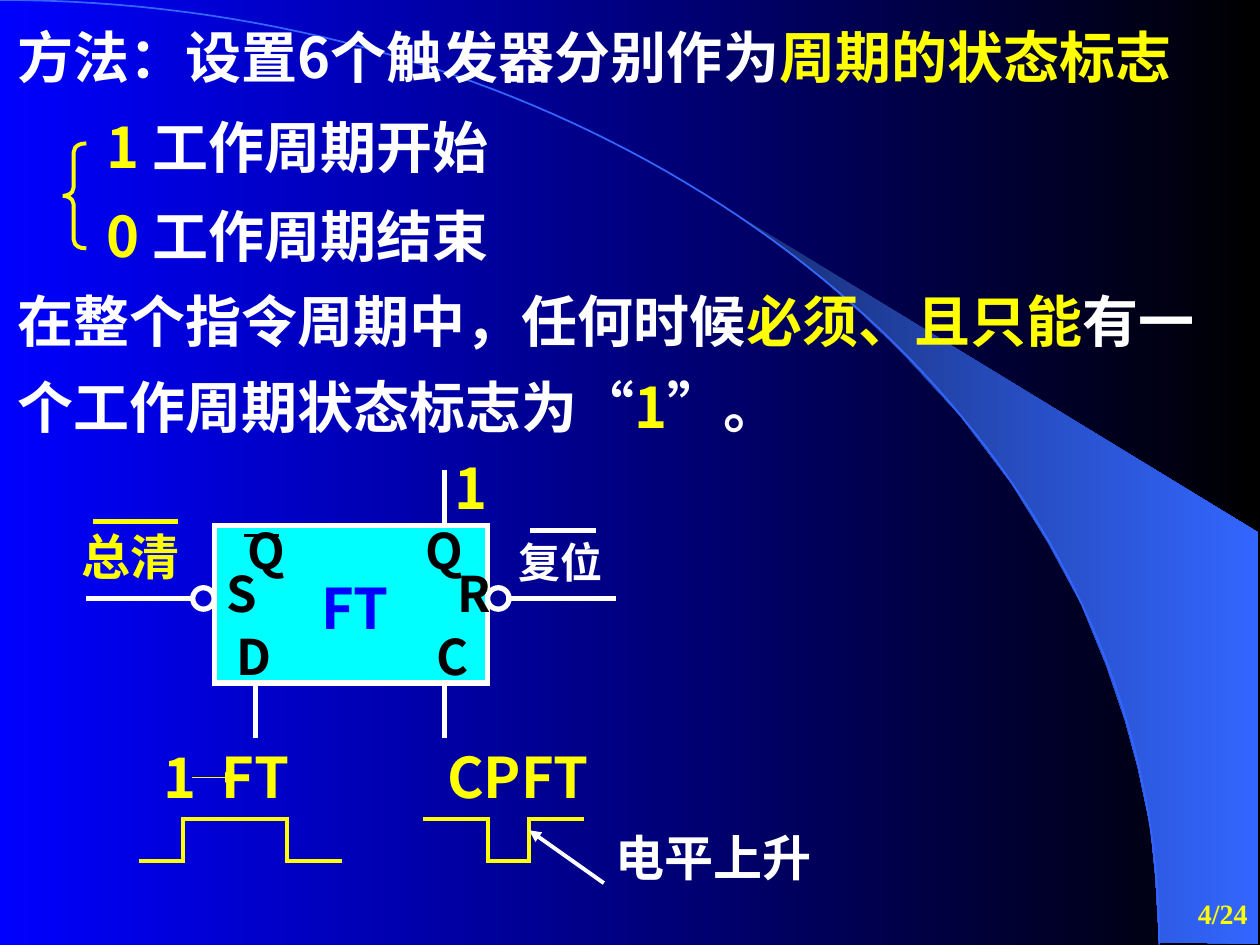
import itertools
from dataclasses import dataclass

import pptx
import pptx.dml.color
import pptx.enum.dml
import pptx.enum.shapes
import pptx.enum.text
import pptx.oxml
import pptx.oxml.ns
import pptx.util
from pptx.util import Inches

ALIGN = pptx.enum.text.PP_ALIGN
ANCHOR = pptx.enum.text.MSO_ANCHOR
SHAPE = pptx.enum.shapes.MSO_SHAPE


@dataclass(frozen=True)
class Theme:
    white: str = "FFFFFF"
    black: str = "000000"
    blue: str = "0000FF"
    yellow: str = "FFFF00"
    cyan: str = "00FFFF"
    navy: str = "182F76"
    sky: str = "3366FF"
    sans: str = "Noto Sans CJK SC"
    serif: str = "Times New Roman"
    large: int = 32
    medium: int = 28
    small: int = 24
    page: int = 16
    thick: float = 3
    normal: float = 2.25


THEME = Theme()


def rgb(value):
    return pptx.dml.color.RGBColor.from_string(value)


def add_xml(parent, tag, **attributes):
    element = pptx.oxml.parse_xml(f"<{tag} {pptx.oxml.ns.nsdecls('a')}/>")
    for name, value in attributes.items():
        element.set(name, str(value))
    parent.append(element)
    return element


def set_gradient(fill, start, end):
    fill.gradient()
    fill.gradient_angle = 0
    for stop, color, position in zip(fill.gradient_stops, (start, end), (0, 1)):
        stop.color.rgb = rgb(color)
        stop.position = position


def set_line(line, color, weight):
    line.color.rgb = rgb(color)
    line.width = pptx.util.Pt(weight)
    outline = line._get_or_add_ln()
    outline.set("cap", "sq")
    add_xml(outline, "a:miter", lim=800000)
    return outline


@dataclass
class Region:
    slide: object
    left: float
    top: float
    width: float
    height: float

    def place(self, x, y):
        return Inches(self.left + x), Inches(self.top + y)

    def style(self, shape, fill=None, color=None, weight=THEME.thick):
        shape.shadow.inherit = False
        if fill:
            shape.fill.solid()
            shape.fill.fore_color.rgb = rgb(fill)
        else:
            shape.fill.background()
        if color:
            set_line(shape.line, color, weight)
        else:
            shape.line.fill.background()

    def shape(self, kind, x, y, width, height, **style):
        shape = self.slide.shapes.add_shape(
            kind, *self.place(x, y), Inches(width), Inches(height))
        self.style(shape, **style)
        return shape

    def outline(self, points, close, **style):
        start, *rest = [self.place(x, y) for x, y in points]
        builder = self.slide.shapes.build_freeform(*start, scale=1.0)
        builder.add_line_segments(rest, close=close)
        shape = builder.convert_to_shape()
        self.style(shape, **style)
        return shape

    def line(self, start, end, color=THEME.white, weight=THEME.thick, arrow=False):
        connector = self.slide.shapes.add_connector(
            pptx.enum.shapes.MSO_CONNECTOR.STRAIGHT,
            *self.place(*start), *self.place(*end))
        outline = set_line(connector.line, color, weight)
        if arrow:
            add_xml(outline, "a:tailEnd", type="triangle")
        add_xml(connector._element.spPr, "a:effectLst")

    def polyline(self, points):
        for start, end in itertools.pairwise(points):
            self.line(start, end, THEME.yellow, THEME.normal)

    def text(self, x, y, width, height, paragraphs, size=THEME.large,
             font=THEME.sans, align=None, anchor=ANCHOR.TOP):
        box = self.slide.shapes.add_textbox(
            *self.place(x, y), Inches(width), Inches(height))
        frame = box.text_frame
        frame.word_wrap = True
        frame.vertical_anchor = anchor
        frame.text = "\n".join("" for _ in paragraphs)
        for paragraph, runs in zip(frame.paragraphs, paragraphs):
            paragraph.alignment = align
            for words, color, *face in runs:
                run = paragraph.add_run()
                run.text = words
                run.font.size = pptx.util.Pt(size)
                run.font.bold = True
                run.font.color.rgb = rgb(color)
                run.font.name = face[0] if face else font
                add_xml(run.font._element, "a:ea", typeface=THEME.sans)
        return frame


def draw_background(region):
    set_gradient(region.slide.background.fill, THEME.blue, THEME.black)
    beam = region.outline(
        [(9.2, 7.48), (9.99, 7.49), (9.99, 4.23), (5.89, 1.73), (6.24, 1.99),
         (6.53, 2.22), (6.85, 2.5), (7.16, 2.8), (7.62, 3.3), (8.03, 3.84),
         (8.32, 4.31), (8.58, 4.79), (8.78, 5.28), (8.93, 5.72), (9.03, 6.09),
         (9.13, 6.56), (9.17, 6.96)], close=True)
    set_gradient(beam.fill, THEME.navy, THEME.sky)
    steps = 80
    arc = []
    for step in range(steps + 1):
        t = step / steps
        s = 1 - t
        arc.append((3 * s * s * t * 5.08 + (3 * s * t * t + t ** 3) * 9.2,
                    3 * s * t * t * 3.35 + t ** 3 * 7.49))
    region.outline(arc, close=False, color=THEME.sky, weight=1)


def draw_page_number(region):
    region.text(0, 0, region.width, region.height, [[("4/24", THEME.yellow)]],
                THEME.page, THEME.serif, ALIGN.RIGHT, ANCHOR.MIDDLE)


def draw_method(region):
    white, yellow, serif = THEME.white, THEME.yellow, THEME.serif
    region.text(0, 0, 10, 0.64, [[("方法：设置6个触发器分别作为", white),
                                  ("周期的状态标志", yellow)]])
    brace = region.shape(SHAPE.LEFT_BRACE, 0.46, 1.01, 0.17, 0.83,
                         color=yellow, weight=THEME.normal)
    brace.adjustments[0] = 0.4
    for row, (value, meaning) in enumerate([("1 ", "工作周期开始"), ("0 ", "工作周期结束")]):
        region.text(0.71, 0.71 * (row + 1), 4.17, 0.64,
                    [[(value, yellow), (meaning, white)]])
    rule = region.text(0, 2.28, 9.96, 1.13, [
        [("在整个指令周期中，任何时候", white), ("必须、且只能", yellow), ("有一", white)],
        [("个工作周期状态标志为", white), ("“", white, serif), ("1", yellow),
         ("”", white, serif), ("。", white)]])
    first, second = rule.paragraphs
    first.line_spacing = 0.6
    second.line_spacing = 0.8
    second.space_before = pptx.util.Pt(20)


def draw_flip_flop(region):
    width, height = region.width, region.height
    middle, circle, lead, stub = 0.58, 0.17, 0.83, 0.42
    region.shape(SHAPE.RECTANGLE, 0, 0, width, height,
                 fill=THEME.cyan, color=THEME.white)
    region.text(0.75, 0.33, 1.17, 0.64, [[("FT", THEME.blue)]])
    for pin, x, y in [("S", 0, 0.25), ("R", 1.83, 0.25), ("D", 0.08, 0.75),
                      ("C", 1.67, 0.75), ("Q", 1.58, -0.09), ("Q", 0.17, -0.09)]:
        region.text(x, y, 1, 0.57, [[(pin, THEME.black)]], THEME.medium)
    region.line((0.25, 0.08), (0.5, 0.08), THEME.black, 1.5)
    for x, y in [(1.83, -stub), (0.33, height), (1.83, height)]:
        region.line((x, y), (x, y + stub))
    for x in (width + circle, -circle - lead):
        region.line((x, middle), (x + lead, middle))
    for x in (-circle, width):
        region.shape(SHAPE.OVAL, x, middle - circle / 2, circle, circle,
                     color=THEME.white)
    region.text(-1.15, -0.04, 1.02, 0.57, [[("总清", THEME.yellow)]],
                THEME.medium, THEME.serif)
    region.line((-0.94, -0.03), (-0.31, -0.03), THEME.yellow)
    region.text(1.76, -0.62, 0.55, 0.64, [[("1", THEME.yellow)]], align=ALIGN.CENTER)
    region.text(2.32, 0.04, 1, 0.5, [[("复位", THEME.white)]],
                THEME.small, THEME.serif)
    region.line((2.53, 0.04), (3.01, 0.04))


def draw_data_pulse(region):
    frame = region.text(0.08, 0, 1.67, 0.64, [[("1\tFT", THEME.yellow)]])
    tabs = add_xml(frame.paragraphs[0]._p.get_or_add_pPr(), "a:tabLst")
    add_xml(tabs, "a:tab", pos=Inches(0.46), algn="l")
    region.line((0.41, 0.33), (0.75, 0.33), THEME.yellow, 1, arrow=True)
    low, high = 0.99, 0.66
    region.polyline([(0, low), (0.33, low), (0.33, high),
                     (1.16, high), (1.16, low), (1.58, low)])


def draw_clock_pulse(region):
    region.text(0.08, 0, 1.67, 0.64, [[("CPFT", THEME.yellow)]])
    low, high = 0.99, 0.66
    region.polyline([(0, high), (0.5, high), (0.5, low),
                     (0.83, low), (0.83, high), (1.25, high)])
    region.line((1.41, 1.16), (0.83, 0.75), weight=THEME.normal, arrow=True)
    region.text(1.35, 0.68, 1.89, 0.57, [[("电平上升", THEME.white)]],
                THEME.medium, THEME.serif, ALIGN.CENTER)


def main():
    presentation = pptx.Presentation()
    presentation.slide_width = Inches(10)
    presentation.slide_height = Inches(7.5)
    slide = presentation.slides.add_slide(presentation.slide_layouts[6])
    draw_background(Region(slide, 0, 0, 10, 7.5))
    draw_page_number(Region(slide, 7.92, 7, 2.08, 0.5))
    draw_method(Region(slide, 0.04, 0.13, 10, 3.41))
    draw_flip_flop(Region(slide, 1.7, 4.17, 2.17, 1.25))
    draw_data_pulse(Region(slide, 1.12, 5.84, 1.75, 1))
    draw_clock_pulse(Region(slide, 3.37, 5.84, 3.24, 1.25))
    presentation.save("out.pptx")


if __name__ == "__main__":
    main()
